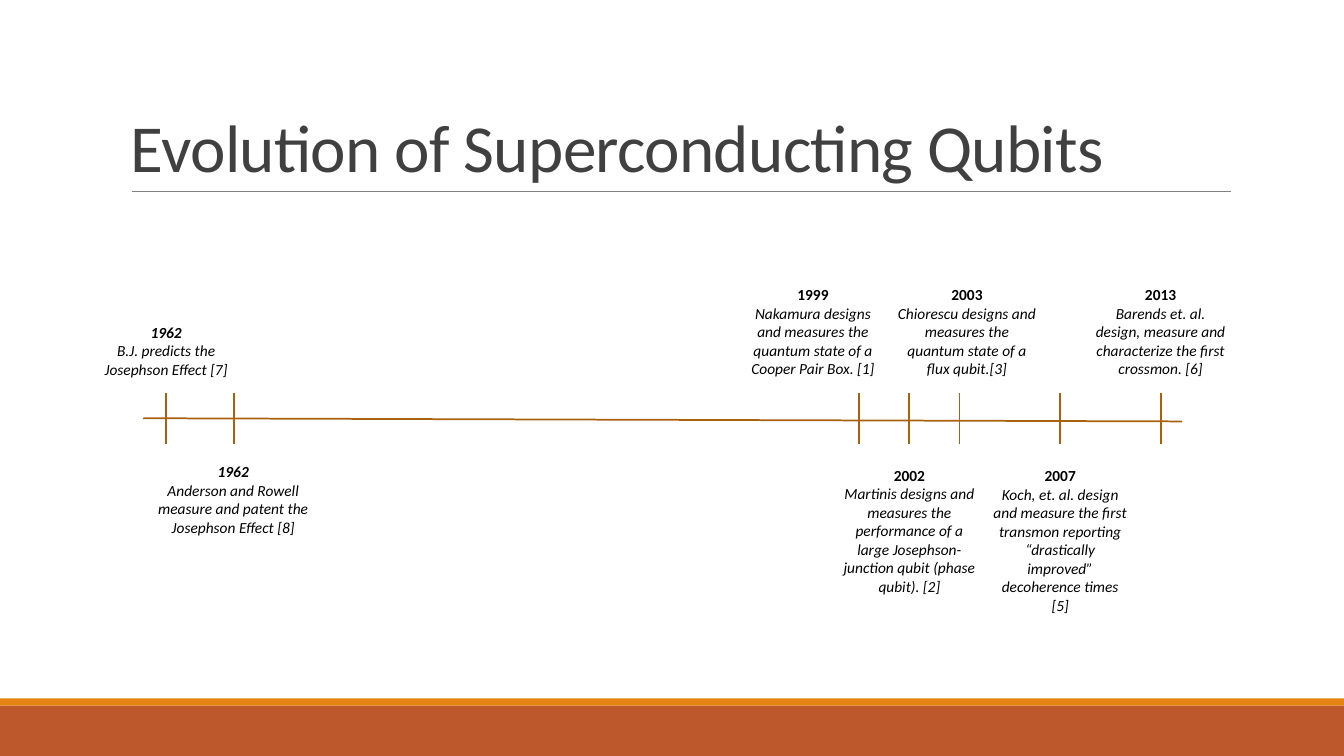
import pptx
import pptx.util
import pptx.dml.color
import pptx.enum.shapes
import pptx.enum.text
import pptx.oxml
import pptx.oxml.ns

Cm, Pt = pptx.util.Cm, pptx.util.Pt
RGB = pptx.dml.color.RGBColor
ANCHOR = pptx.enum.text.MSO_ANCHOR
ALIGN = pptx.enum.text.PP_ALIGN

# Content
TITLE = "Evolution of Superconducting Qubits"
# year, year in italics, description, tick x, box centre x, box width, drawn lines, top if below the axis
EVENTS = [
    ("1962", True, ["B.J. predicts the", "Josephson Effect [7]"],
     4.19, 4.19, 4.01, 3, None),
    ("1962", True, ["Anderson and Rowell", "measure and patent the Josephson Effect [8]"],
     5.89, 5.88, 4.39, 4, 11.53),
    ("1999", False, ["Nakamura designs and measures the quantum state of a Cooper Pair Box. [1]"],
     21.64, 20.49, 4.04, 5, None),
    ("2002", False, ["Martinis designs and measures the performance of a large "
                     "Josephson-junction qubit (phase qubit). [2]"],
     22.91, 22.92, 3.89, 7, 11.61),
    ("2003", False, ["Chiorescu designs and measures the quantum state of a flux qubit.[3]"],
     24.18, 24.37, 4.04, 5, None),
    ("2007", False, ["Koch, et. al. design and measure the first transmon reporting "
                     "“drastically improved” decoherence times [5]"],
     26.72, 26.72, 3.96, 8, 11.63),
    ("2013", False, ["Barends et. al. design, measure and characterize the first crossmon. [6]"],
     29.26, 29.25, 3.94, 5, None),
]

# Colours and measures (cm)
RUST = RGB(0xBD, 0x58, 0x2C)
ORANGE = RGB(0xE4, 0x83, 0x12)
BROWN = RGB(0xA9, 0x61, 0x0D)
GREY = RGB(0x80, 0x80, 0x80)
DARK = RGB(0x40, 0x40, 0x40)
BLACK = RGB(0, 0, 0)
WIDTH, HEIGHT = 33.87, 19.05
TICK_TOP, TICK_BOTTOM = 9.91, 11.18
UPPER_BOTTOM = 9.68
LINE_HEIGHT, INSETS = 0.47, 0.26

prs = pptx.Presentation()
prs.slide_width, prs.slide_height = Cm(WIDTH), Cm(HEIGHT)
s = prs.slides.add_slide(prs.slide_layouts[6])


def add_text(paragraphs, x, y, w, h, size=11, color=BLACK, align=ALIGN.CENTER,
             anchor=ANCHOR.TOP, line_spacing=None, tracking=None):
    """Each paragraph is (text, bold, italic)."""
    tf = s.shapes.add_textbox(Cm(x), Cm(y), Cm(w), Cm(h)).text_frame
    tf.word_wrap = True
    tf.vertical_anchor = anchor
    for i, (text, bold, italic) in enumerate(paragraphs):
        p = tf.add_paragraph() if i else tf.paragraphs[0]
        p.alignment = align
        p.line_spacing = line_spacing
        r = p.add_run()
        r.text = text
        r.font.name, r.font.size = "Calibri", Pt(size)
        r.font.bold, r.font.italic = bold, italic
        r.font.color.rgb = color
        if tracking is not None:
            r.font._element.set("spc", str(int(tracking * 100)))


def add_line(x1, y1, x2, y2, color, width):
    c = s.shapes.add_connector(pptx.enum.shapes.MSO_CONNECTOR.STRAIGHT,
                               Cm(x1), Cm(y1), Cm(x2), Cm(y2))
    c.line.color.rgb, c.line.width = color, Pt(width)
    c._element.spPr.append(pptx.oxml.parse_xml(
        "<a:effectLst %s/>" % pptx.oxml.ns.nsdecls("a")))


# Footer bands
for y, h, color in [(17.78, 1.27, RUST), (17.6, 0.18, ORANGE)]:
    band = s.shapes.add_shape(pptx.enum.shapes.MSO_SHAPE.RECTANGLE,
                              Cm(0), Cm(y), Cm(WIDTH), Cm(h))
    band.shadow.inherit = False
    band.fill.solid()
    band.fill.fore_color.rgb = color
    band.line.fill.background()

# Title and its rule
add_line(3.33, 4.83, 31.01, 4.83, GREY, 0.5)
add_text([(TITLE, False, False)], 3.05, 0.79, 27.94, 4.04, size=48, color=DARK,
         align=ALIGN.LEFT, anchor=ANCHOR.BOTTOM, line_spacing=0.85, tracking=-0.5)

# Timeline
add_line(3.61, 10.54, 29.79, 10.62, BROWN, 1.25)
for year, slanted, description, tick, centre, w, lines, top in EVENTS:
    add_line(tick, TICK_TOP, tick, TICK_BOTTOM, BROWN, 1.25)
    h = lines * LINE_HEIGHT + INSETS
    y = UPPER_BOTTOM - h if top is None else top
    paragraphs = [(year, True, slanted)] + [(text, False, True) for text in description]
    add_text(paragraphs, centre - w / 2, y, w, h)

prs.save("out.pptx")
